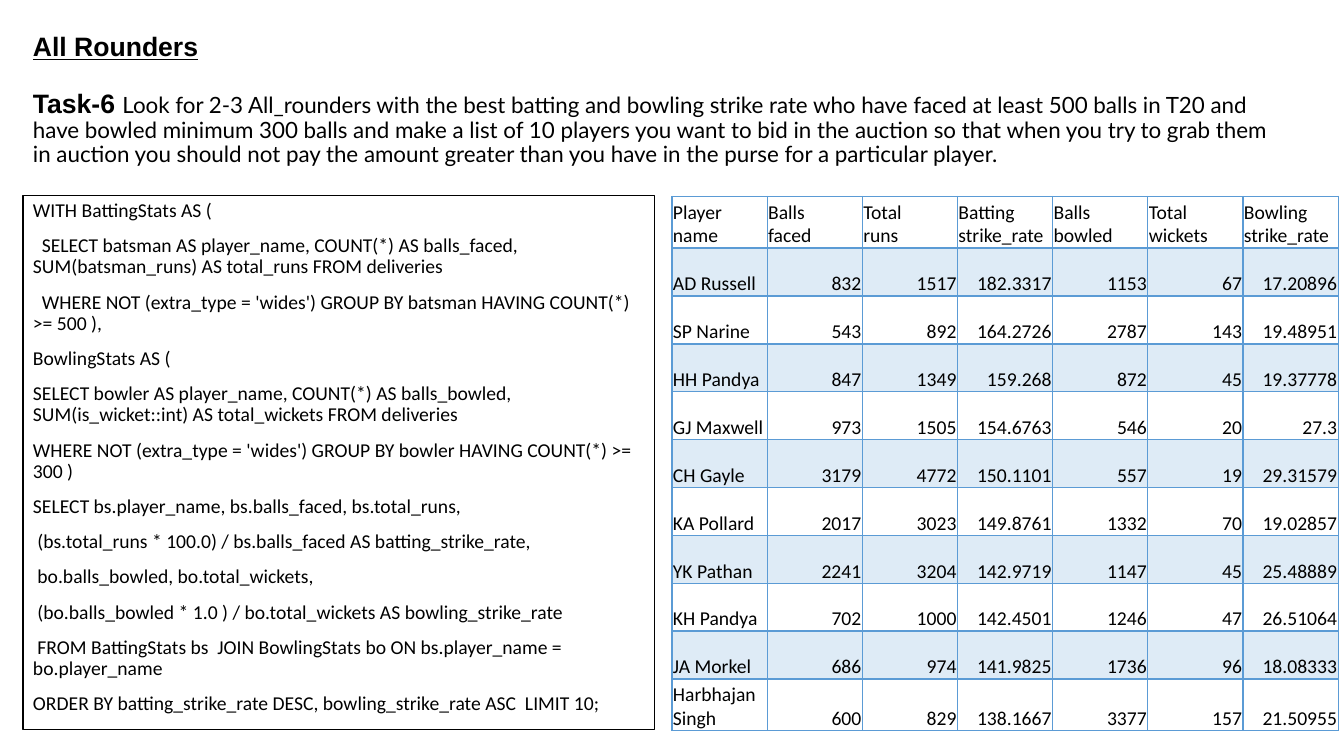
import pptx
import pptx.dml.color
import pptx.enum.shapes
import pptx.enum.text
import pptx.oxml
import pptx.oxml.ns
import pptx.util
from pptx.util import Pt

BLACK = pptx.dml.color.RGBColor(0x00, 0x00, 0x00)
WHITE = pptx.dml.color.RGBColor(0xFF, 0xFF, 0xFF)
BLUE = pptx.dml.color.RGBColor(0x5B, 0x9B, 0xD5)

TASK = (
    "Look for 2-3 All_rounders with the best batting and bowling strike rate "
    "who have faced at least 500 balls in T20 and have bowled minimum 300 balls "
    "and make a list of 10 players you want to bid in the auction so that when "
    "you try to grab them in auction you should not pay the amount greater than "
    "you have in the purse for a particular player."
)

QUERY = [
    "WITH BattingStats AS (",
    "  SELECT batsman AS player_name, COUNT(*) AS balls_faced, SUM(batsman_runs) AS total_runs FROM deliveries",
    "  WHERE NOT (extra_type = 'wides') GROUP BY batsman HAVING COUNT(*) >= 500 ),",
    "BowlingStats AS (",
    "SELECT bowler AS player_name, COUNT(*) AS balls_bowled, SUM(is_wicket::int) AS total_wickets FROM deliveries",
    "WHERE NOT (extra_type = 'wides') GROUP BY bowler HAVING COUNT(*) >= 300 )",
    "SELECT bs.player_name, bs.balls_faced, bs.total_runs,",
    " (bs.total_runs * 100.0) / bs.balls_faced AS batting_strike_rate,",
    " bo.balls_bowled, bo.total_wickets,",
    " (bo.balls_bowled * 1.0 ) / bo.total_wickets AS bowling_strike_rate",
    " FROM BattingStats bs  JOIN BowlingStats bo ON bs.player_name = bo.player_name",
    "ORDER BY batting_strike_rate DESC, bowling_strike_rate ASC  LIMIT 10;",
]

PLAYERS = [
    ["Player name", "Balls\vfaced", "Total\vruns", "Batting strike_rate",
     "Balls bowled", "Total wickets", "Bowling strike_rate"],
    ["AD Russell", "832", "1517", "182.3317", "1153", "67", "17.20896"],
    ["SP Narine", "543", "892", "164.2726", "2787", "143", "19.48951"],
    ["HH Pandya", "847", "1349", "159.268", "872", "45", "19.37778"],
    ["GJ Maxwell", "973", "1505", "154.6763", "546", "20", "27.3"],
    ["CH Gayle", "3179", "4772", "150.1101", "557", "19", "29.31579"],
    ["KA Pollard", "2017", "3023", "149.8761", "1332", "70", "19.02857"],
    ["YK Pathan", "2241", "3204", "142.9719", "1147", "45", "25.48889"],
    ["KH Pandya", "702", "1000", "142.4501", "1246", "47", "26.51064"],
    ["JA Morkel", "686", "974", "141.9825", "1736", "96", "18.08333"],
    ["Harbhajan Singh", "600", "829", "138.1667", "3377", "157", "21.50955"],
]


def set_font(font, name, size, bold=False):
    font.name = name
    font.size = Pt(size)
    font.bold = bold
    font.color.rgb = BLACK


def add_borders(cell, bottom_width):
    for side in "LRTB":
        width = bottom_width if side == "B" else 1
        cell._tc.get_or_add_tcPr().append(pptx.oxml.parse_xml(
            f'<a:ln{side} {pptx.oxml.ns.nsdecls("a")} w="{Pt(width)}">'
            f'<a:solidFill><a:srgbClr val="{BLUE}"/></a:solidFill></a:ln{side}>'))


deck = pptx.Presentation()
deck.slide_width, deck.slide_height = Pt(960), Pt(540)
slide = deck.slides.add_slide(deck.slide_layouts[6])

# Heading and task
intro = slide.shapes.add_textbox(Pt(16.5), Pt(18.7), Pt(900), Pt(106.5)).text_frame
intro.word_wrap = True
intro.vertical_anchor = pptx.enum.text.MSO_ANCHOR.MIDDLE
heading = intro.paragraphs[0]
heading.text = "All Rounders"
heading.line_spacing = 0.9
set_font(heading.font, "Arial", 19, bold=True)
heading.font.underline = True

task = intro.add_paragraph()
task.line_spacing = 0.9
task.space_before = Pt(20)
task_label = task.add_run()
task_label.text = "Task-6 "
set_font(task_label.font, "Arial", 19, bold=True)
task_text = task.add_run()
task_text.text = TASK
set_font(task_text.font, "Lato", 16)

# Query
query_box = slide.shapes.add_shape(
    pptx.enum.shapes.MSO_SHAPE.RECTANGLE, Pt(16.5), Pt(139.7), Pt(451), Pt(381.5))
query_box.shadow.inherit = False
query_box.fill.solid()
query_box.fill.fore_color.rgb = WHITE
query_box.line.color.rgb = BLACK
query_box.line.width = Pt(1)
query = query_box.text_frame
query.word_wrap = True
query.vertical_anchor = pptx.enum.text.MSO_ANCHOR.TOP
for number, clause in enumerate(QUERY):
    line = query.add_paragraph() if number else query.paragraphs[0]
    line.text = clause
    line.alignment = pptx.enum.text.PP_ALIGN.LEFT
    line.line_spacing = 0.9
    line.space_before = Pt(10 if number else 0)
    set_font(line.font, "Calibri", 14)

# Query result
result = slide.shapes.add_table(
    len(PLAYERS), len(PLAYERS[0]), Pt(480), Pt(140.4), Pt(476), Pt(381.6)).table
result.horz_banding = False
for column in result.columns:
    column.width = Pt(68)
for r, player in enumerate(PLAYERS):
    result.rows[r].height = Pt(36.9 if r in (0, len(PLAYERS) - 1) else 34.2)
    for c, value in enumerate(player):
        cell = result.cell(r, c)
        cell.text = value
        cell.vertical_anchor = pptx.enum.text.MSO_ANCHOR.BOTTOM
        cell.margin_left = cell.margin_right = cell.margin_top = Pt(0.7)
        cell.margin_bottom = 0
        entry = cell.text_frame.paragraphs[0]
        if r and c:
            entry.alignment = pptx.enum.text.PP_ALIGN.RIGHT
        set_font(entry.font, "Calibri", 14)
        add_borders(cell, 1 if r else 2)
        if r % 2:
            cell.fill.solid()
            cell.fill.fore_color.rgb = BLUE
            tint = cell._tc.tcPr.find(pptx.oxml.ns.qn("a:solidFill"))[0]
            tint.append(pptx.oxml.parse_xml(
                f'<a:alpha {pptx.oxml.ns.nsdecls("a")} val="20000"/>'))
        else:
            cell.fill.background()

deck.save("out.pptx")
